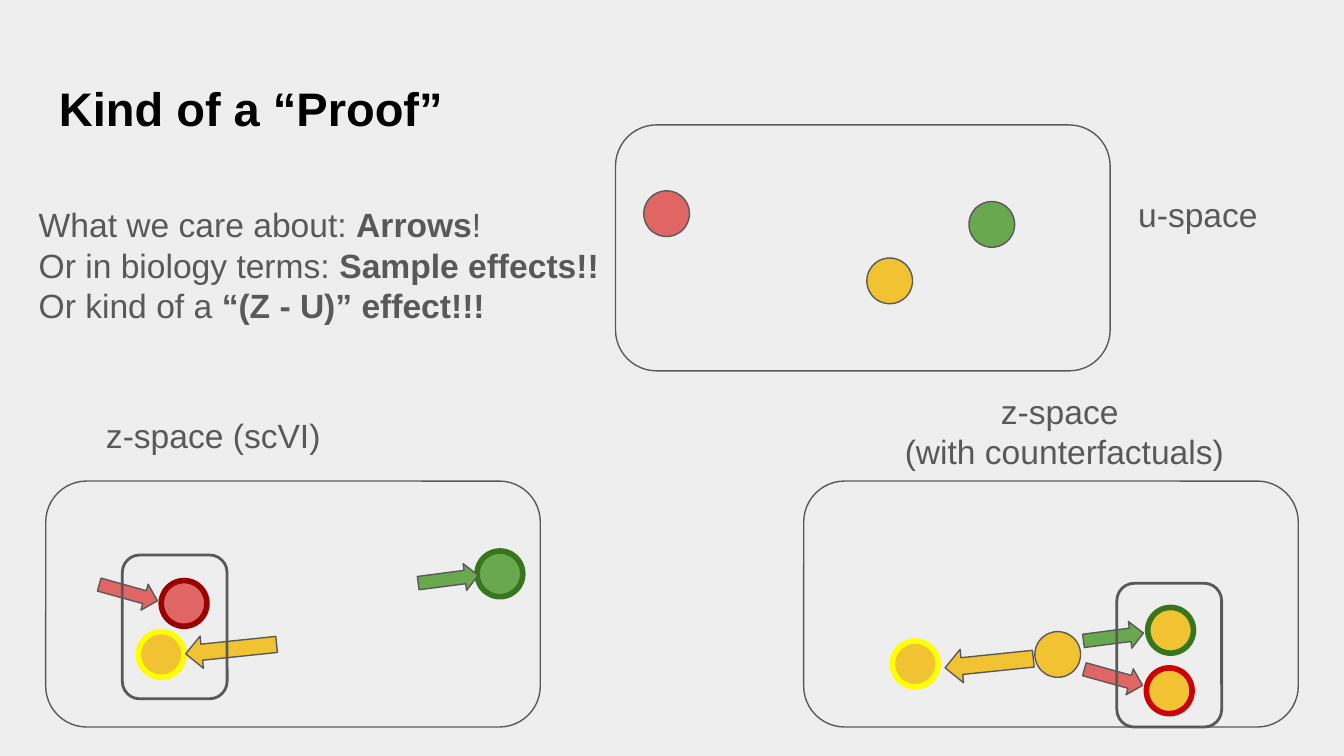
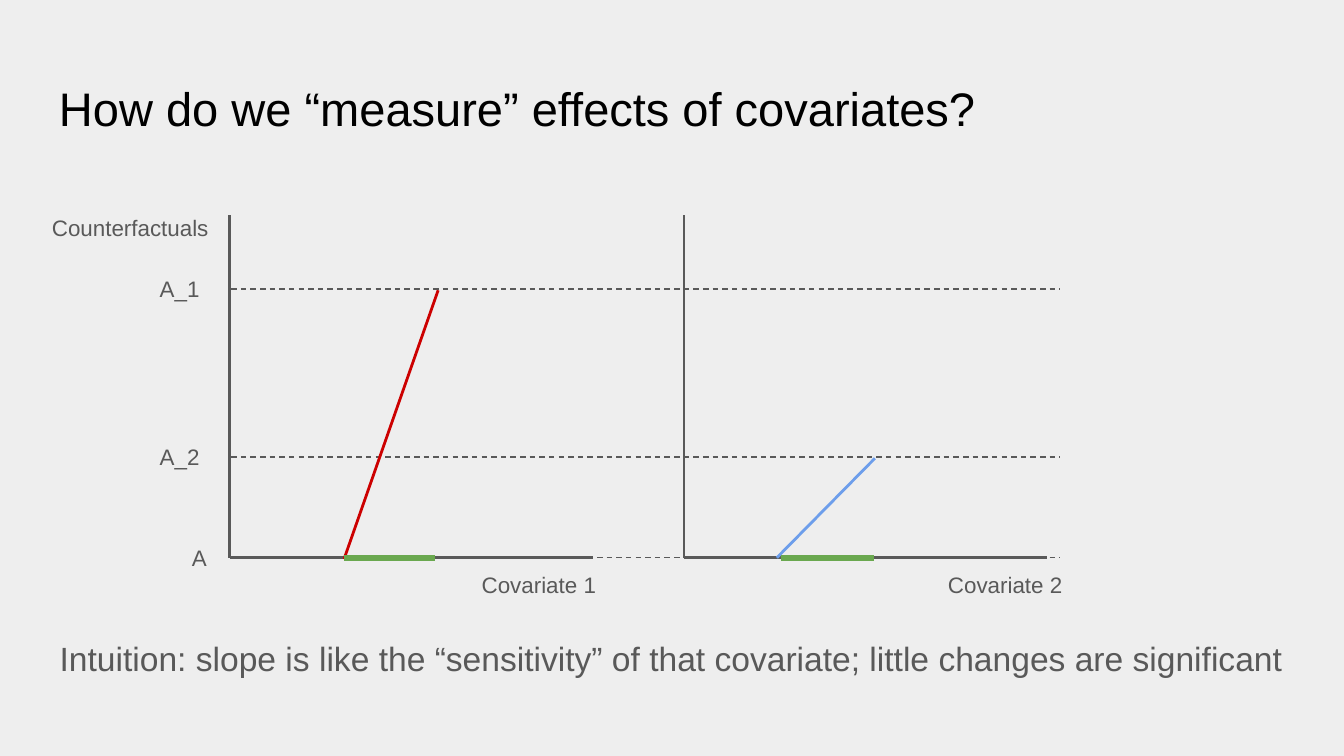
"""Build two slides on sample effects and covariate sensitivity."""
from lxml.etree import SubElement
from pptx import Presentation
from pptx.dml.color import RGBColor
from pptx.enum.dml import MSO_LINE
from pptx.enum.shapes import MSO_CONNECTOR, MSO_SHAPE
from pptx.enum.text import MSO_ANCHOR, MSO_AUTO_SIZE, PP_ALIGN
from pptx.oxml.ns import qn
from pptx.util import Inches, Pt

FONT = "Arial"
COLORS = {
    "background": "EEEEEE",
    "title": "000000",
    "gray": "595959",
    "red": "E06666",
    "amber": "F1C232",
    "green": "6AA84F",
    "blue": "6D9EEB",
    "strong red": "CC0000",
    "dark red": "990000",
    "yellow": "FFFF00",
    "dark green": "38761D",
}
DOT = 0.34
SPACE_WIDTH, SPACE_HEIGHT = 3.68, 1.83
ARROW_TILTS = {"green": 352.6, "red": 15.5, "amber": 174.1}


def color(name):
    """Return the named colour."""
    return RGBColor.from_string(COLORS[name])


def write(frame, text, size=18, ink="gray", align=PP_ALIGN.LEFT):
    """Fill a text frame; lines become paragraphs and ** toggles bold."""
    for index, line in enumerate(text.split("\n")):
        para = frame.paragraphs[0] if index == 0 else frame.add_paragraph()
        para.alignment = align
        for position, part in enumerate(line.split("**")):
            if part:
                span = para.add_run()
                span.text = part
                span.font.name = FONT
                span.font.size = Pt(size)
                span.font.bold = position % 2 == 1
                span.font.color.rgb = color(ink)


class Painter:
    """Hold the deck style and draw on the current slide."""

    def __init__(self, deck):
        """Set a 16:9 slide size and keep the blank layout."""
        self.deck = deck
        deck.slide_width = Inches(10)
        deck.slide_height = Inches(10) * 9 // 16
        self.layout = deck.slide_layouts[6]
        self.page = None

    def start(self, title):
        """Add a page with its background and title."""
        self.page = self.deck.slides.add_slide(self.layout)
        fill = self.page.background.fill
        fill.solid()
        fill.fore_color.rgb = color("background")
        self.text(title, 0.34, 0.49, 9.32, 0.63, size=25.2, ink="title")

    def text(self, text, left, top, width, height, **style):
        """Add a wrapped text box."""
        box = self.page.shapes.add_textbox(
            Inches(left), Inches(top), Inches(width), Inches(height))
        frame = box.text_frame
        frame.word_wrap = True
        frame.auto_size = MSO_AUTO_SIZE.NONE
        frame.vertical_anchor = MSO_ANCHOR.TOP
        frame.margin_left = frame.margin_right = Inches(0.1)
        frame.margin_top = frame.margin_bottom = Inches(0.1)
        write(frame, text, **style)

    def shape(self, kind, left, top, width, height, fill=None, line="gray", weight=0.75):
        """Add an outlined preset shape, hollow when no fill is given."""
        shape = self.page.shapes.add_shape(
            kind, Inches(left), Inches(top), Inches(width), Inches(height))
        shape.shadow.inherit = False
        if fill:
            shape.fill.solid()
            shape.fill.fore_color.rgb = color(fill)
        else:
            shape.fill.background()
        shape.line.color.rgb = color(line)
        shape.line.width = Pt(weight)
        return shape

    def space(self, left, top):
        """Add the rounded panel of one latent space."""
        self.shape(MSO_SHAPE.ROUNDED_RECTANGLE, left, top,
                   SPACE_WIDTH, SPACE_HEIGHT, "background")

    def cluster(self, left, top):
        """Add a hollow frame around neighbouring dots."""
        self.shape(MSO_SHAPE.ROUNDED_RECTANGLE, left, top, 0.78, 1.07, weight=1.5)

    def dot(self, left, top, fill, ring=None):
        """Add a cell dot, with a thick ring if one is named."""
        self.shape(MSO_SHAPE.OVAL, left, top, DOT, DOT, fill,
                   ring or "gray", 3 if ring else 0.75)

    def arrow(self, left, top, fill, width=0.45, height=0.2):
        """Add a block arrow tilted according to its colour."""
        shape = self.shape(MSO_SHAPE.RIGHT_ARROW, left, top, width, height, fill)
        shape.rotation = ARROW_TILTS[fill]

    def line(self, start, end, ink="gray", weight=1.5, dashed=False):
        """Add a straight line between two points."""
        line = self.page.shapes.add_connector(
            MSO_CONNECTOR.STRAIGHT, *(Inches(value) for value in (*start, *end)))
        line.line.color.rgb = color(ink)
        line.line.width = Pt(weight)
        if dashed:
            line.line.dash_style = MSO_LINE.DASH
        SubElement(line._element.spPr, qn("a:effectLst"))


def draw_proof(painter):
    """Draw the u-space and the two z-spaces."""
    painter.start("**Kind of a “Proof”**")

    painter.space(4.58, 0.93)
    for left, top, fill in [(4.79, 1.42, "red"), (6.45, 1.92, "amber"), (7.21, 1.5, "green")]:
        painter.dot(left, top, fill)
    painter.text("u-space", 8.37, 1.34, 1.12, 0.5)
    painter.text("What we care about: **Arrows**!\n"
                 "Or in biology terms: **Sample effects!!**\n"
                 "Or kind of a **“(Z - U)” effect!!!**", 0.19, 1.42, 4.6, 1.11)

    painter.space(0.34, 3.58)
    painter.text("z-space (scVI)", 0.69, 2.99, 3.48, 0.5)
    painter.dot(1.2, 4.32, "red", "dark red")
    painter.dot(1.03, 4.7, "amber", "yellow")
    painter.dot(3.55, 4.1, "green", "dark green")
    painter.arrow(3.11, 4.21, "green")
    painter.arrow(0.73, 4.31, "red")
    painter.arrow(1.38, 4.71, "amber", 0.68, 0.24)
    painter.cluster(0.91, 4.13)

    painter.space(5.98, 3.58)
    painter.text("z-space \n(with counterfactuals)", 6.51, 2.81, 2.82, 0.81,
                 align=PP_ALIGN.CENTER)
    for left, top, ring in [(8.53, 4.97, "strong red"), (6.64, 4.77, "yellow"),
                            (8.54, 4.52, "dark green"), (7.7, 4.7, None)]:
        painter.dot(left, top, "amber", ring)
    painter.arrow(8.06, 4.64, "green")
    painter.arrow(8.06, 4.94, "red")
    painter.arrow(7.03, 4.81, "amber", 0.66, 0.25)
    painter.cluster(8.31, 4.34)


def draw_covariates(painter):
    """Draw the slopes of two covariates over shared levels."""
    painter.start("How do we “measure” effects of covariates?")
    base = 4.15
    for left in (1.71, 5.09):
        painter.line((left, 1.6), (left, base))
        painter.line((left + 2.7, base), (left, base))

    for label, left, top in [("Covariate 2", 6.66, base), ("Covariate 1", 3.19, base),
                             ("Counterfactuals", 0.15, 1.49)]:
        painter.text(label, left, top, 1.64, 0.4, size=12, align=PP_ALIGN.CENTER)

    for label, left, level in [("A_1", 1.09, 2.15), ("A_2", 1.09, 3.4), ("A", 1.33, base)]:
        painter.line((1.72, level), (7.89, level), weight=0.75, dashed=True)
        painter.text(label, left, level - 0.2, 1.72 - left, 0.4, size=12)

    painter.line((2.56, 4.16), (3.26, 2.16), "strong red")
    painter.line((5.78, base), (6.51, 3.41), "blue")
    for start, end in [(2.56, 3.24), (5.81, 6.5)]:
        painter.line((start, base), (end, base), "green", 3)

    painter.text("Intuition: slope is like the “sensitivity” of that covariate; "
                 "little changes are significant", 0.11, 4.65, 9.77, 0.5,
                 align=PP_ALIGN.CENTER)


def main():
    """Build and save the deck."""
    deck = Presentation()
    painter = Painter(deck)
    draw_proof(painter)
    draw_covariates(painter)
    deck.save("out.pptx")


if __name__ == "__main__":
    main()
